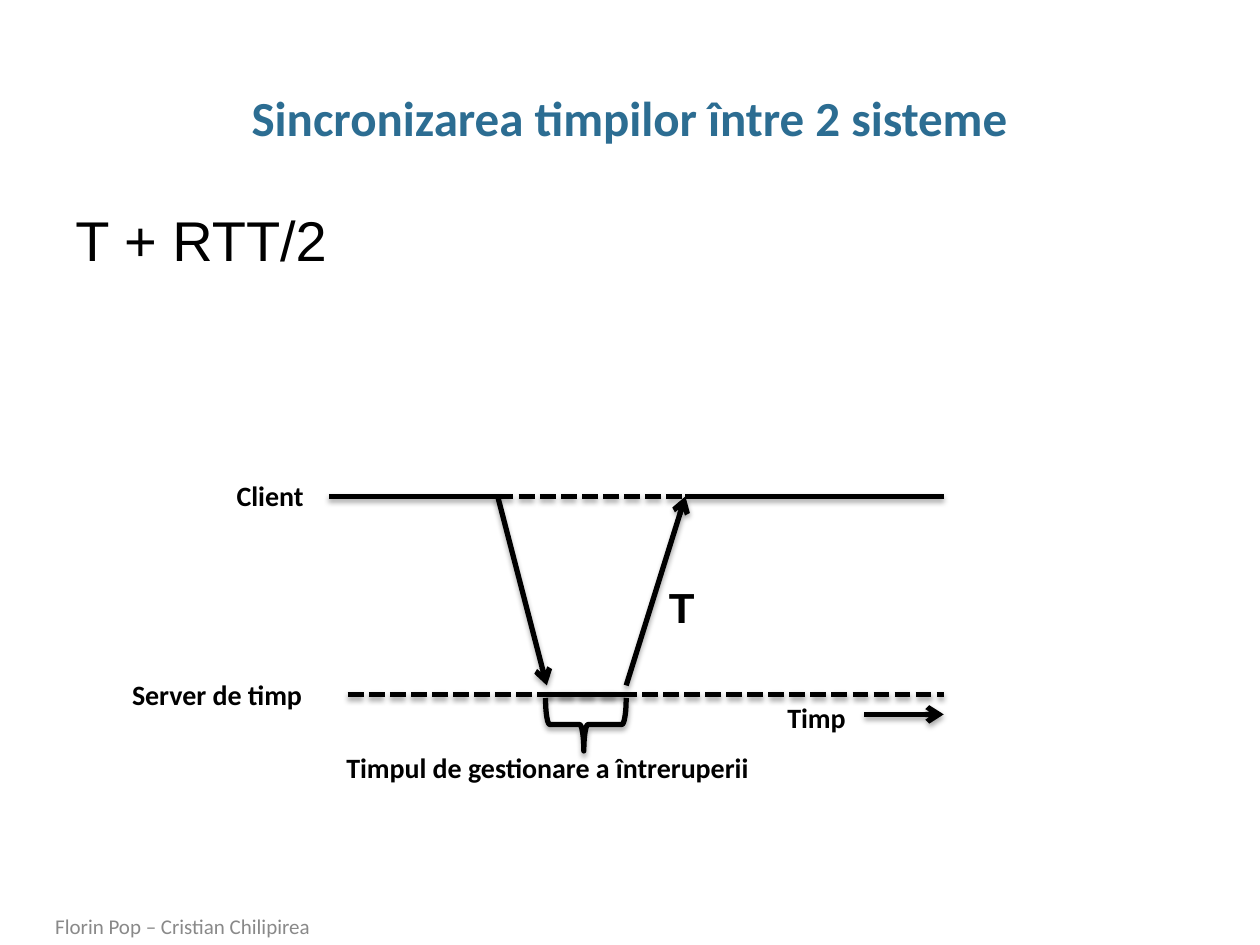
import pptx
import pptx.util
import pptx.dml.color
import pptx.enum.dml
import pptx.enum.shapes
import pptx.enum.text
import pptx.oxml
import pptx.oxml.ns

Inches = pptx.util.Inches
Pt = pptx.util.Pt
ALIGN = pptx.enum.text.PP_ALIGN
ANCHOR = pptx.enum.text.MSO_ANCHOR
COLOURS = {"ink": "000000", "title": "2C6D92", "footer": "898989"}

# Text formats: font values and colour
FORMATS = {
    "title": ({"name": "Calibri", "size": Pt(28), "bold": True}, "title"),
    "footer": ({"name": "Calibri", "size": Pt(12), "bold": False}, "footer"),
    "label": ({"name": "Calibri", "size": Pt(16), "bold": True}, "ink"),
    "formula": ({"name": "Arial", "size": Pt(32), "bold": False}, "ink"),
    "reply": ({"name": "Arial", "size": Pt(24), "bold": True}, "ink"),
}

# Text, format, left, top, width, height
HEADING = ("Sincronizarea timpilor între 2 sisteme", "title", 0.34, 0.68, 9.31, 0.5)
FOOTER = ("Florin Pop – Cristian Chilipirea", "footer", 0.34, 7.22, 7.37, 0.28)
LABELS = [
    ("Client", "label", 1.78, 3.75, 0.83, 0.37),
    ("Server de timp", "label", 0.95, 5.33, 1.76, 0.37),
    ("Timpul de gestionare a întreruperii", "label", 2.65, 5.91, 3.89, 0.37),
    ("Timp", "label", 6.15, 5.51, 0.73, 0.37),
    ("T + RTT/2", "formula", 0.5, 1.58, 2.22, 0.64),
    ("T", "reply", 5.21, 4.57, 0.41, 0.5),
]

# Key moments along the time axis and heights of the timelines
SENT, ARRIVED, REPLIED, RECEIVED, END = 3.95, 4.34, 4.97, 5.44, 7.49
CLIENT, ARROW_FOOT, SERVER, TIME_AXIS = 3.94, 5.44, 5.51, 5.67

# Start, end, style
LINES = [
    ((2.61, CLIENT), (SENT, CLIENT), "solid"),
    ((RECEIVED, CLIENT), (END, CLIENT), "solid"),
    ((SENT, CLIENT), (RECEIVED, CLIENT), "dashed"),
    ((SENT, CLIENT), (ARRIVED, ARROW_FOOT), "arrow"),
    ((REPLIED, ARROW_FOOT), (RECEIVED, CLIENT), "arrow"),
    ((ARRIVED, SERVER), (REPLIED, SERVER), "solid"),
    ((2.76, SERVER), (END, SERVER), "dashed"),
    ((6.86, TIME_AXIS), (END, TIME_AXIS), "arrow"),
]
BRACE = (4.44, 5.43, 0.42, 0.64)

SHADOW = (
    f'<a:effectLst {pptx.oxml.ns.nsdecls("a")}>'
    f'<a:outerShdw blurRad="{Pt(3.1)}" dist="{Pt(1.8)}" dir="5400000" rotWithShape="0">'
    f'<a:srgbClr val="{COLOURS["ink"]}"><a:alpha val="35000"/></a:srgbClr>'
    '</a:outerShdw></a:effectLst>'
)
ARROWHEAD = f'<a:tailEnd {pptx.oxml.ns.nsdecls("a")} type="arrow"/>'


def colour(name):
    return pptx.dml.color.RGBColor.from_string(COLOURS[name])


def add_text(page, content, style, *place, frame_format):
    box = page.shapes.add_textbox(*map(Inches, place))
    for key, value in frame_format.items():
        setattr(box.text_frame, key, value)
    para = box.text_frame.paragraphs[0]
    span = para.add_run()
    span.text = content
    font_format, ink = FORMATS[style]
    for key, value in font_format.items():
        setattr(span.font, key, value)
    span.font.color.rgb = colour(ink)
    return para


def draw_stroke(shape, style):
    shape.line.color.rgb = colour("ink")
    shape.line.width = Pt(3)
    if style == "dashed":
        shape.line.dash_style = pptx.enum.dml.MSO_LINE.SQUARE_DOT
        dash = shape.line._ln.find(pptx.oxml.ns.qn("a:prstDash"))
        dash.set("val", "sysDash")
    if style == "arrow":
        shape.line._ln.append(pptx.oxml.parse_xml(ARROWHEAD))
    shape._element.spPr.append(pptx.oxml.parse_xml(SHADOW))


def main():
    deck = pptx.Presentation()
    deck.slide_width, deck.slide_height = Inches(10), Inches(7.5)
    page = deck.slides.add_slide(deck.slide_layouts[6])

    # Title and footer
    para = add_text(page, *HEADING, frame_format={
        "word_wrap": True, "margin_left": 0, "margin_right": 0})
    para.alignment = ALIGN.CENTER
    para.line_spacing = 0.95
    add_text(page, *FOOTER, frame_format={
        "word_wrap": True, "vertical_anchor": ANCHOR.BOTTOM})

    # Timelines and messages
    for start, end, style in LINES:
        line = page.shapes.add_connector(
            pptx.enum.shapes.MSO_CONNECTOR.STRAIGHT, *map(Inches, start + end))
        draw_stroke(line, style)

    # Brace under the interrupt handling time
    brace = page.shapes.add_shape(
        pptx.enum.shapes.MSO_SHAPE.LEFT_BRACE, *map(Inches, BRACE))
    brace.rotation = 270
    brace.adjustments[0], brace.adjustments[1] = 0.08, 0.475
    brace.fill.background()
    draw_stroke(brace, "solid")

    # Labels
    for label in LABELS:
        add_text(page, *label, frame_format={
            "word_wrap": False,
            "auto_size": pptx.enum.text.MSO_AUTO_SIZE.SHAPE_TO_FIT_TEXT})

    deck.save("out.pptx")


if __name__ == "__main__":
    main()
